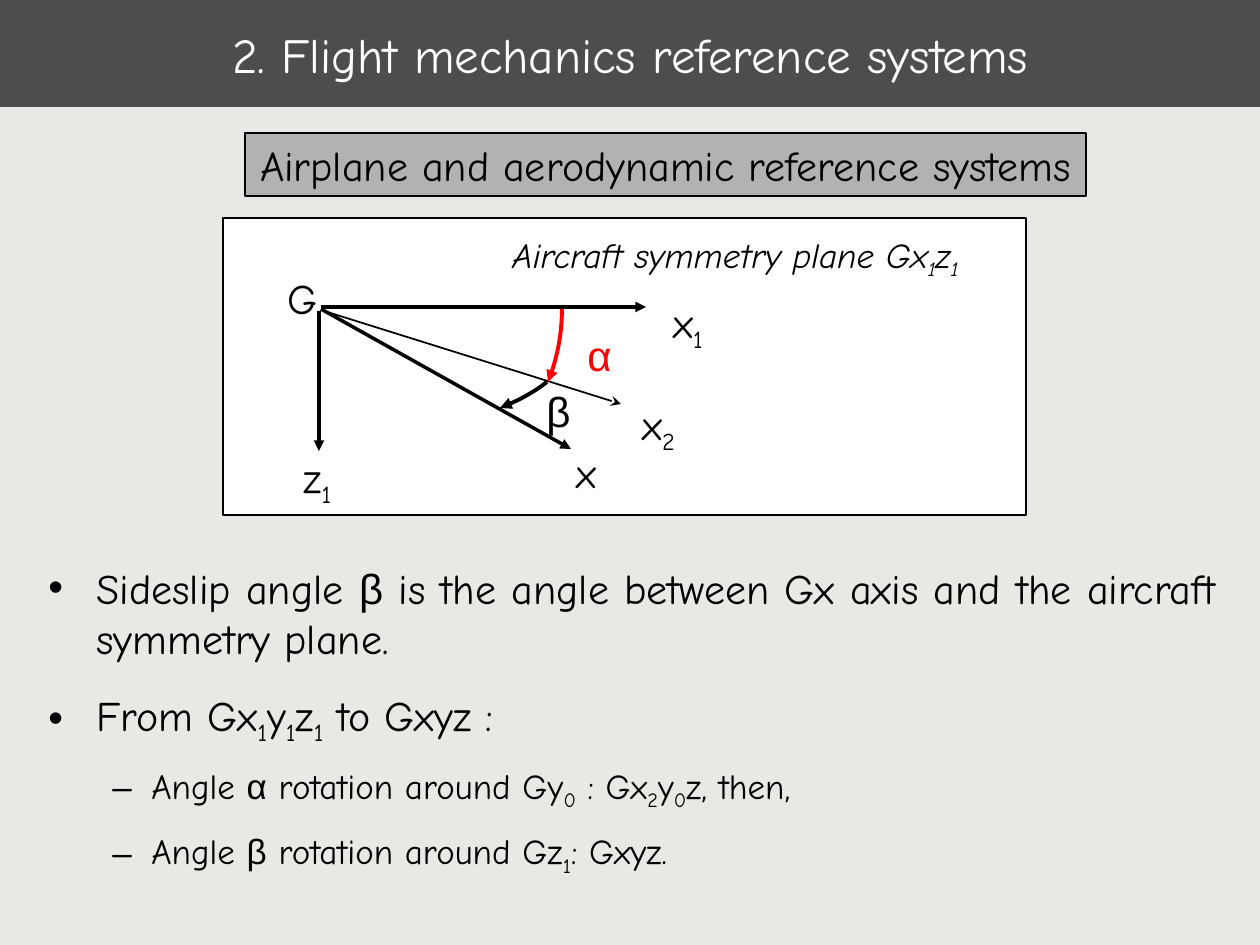
from itertools import groupby

from lxml import etree
from pptx import Presentation
from pptx.dml.color import RGBColor
from pptx.enum.shapes import MSO_CONNECTOR, MSO_SHAPE
from pptx.enum.text import MSO_ANCHOR, MSO_AUTO_SIZE, PP_ALIGN
from pptx.oxml.ns import qn
from pptx.util import Emu, Pt

RECT = MSO_SHAPE.RECTANGLE
LINE = MSO_CONNECTOR.STRAIGHT
MIDDLE = MSO_ANCHOR.MIDDLE
FIT = MSO_AUTO_SIZE.SHAPE_TO_FIT_TEXT
LEFT, CENTER, FULL = PP_ALIGN.LEFT, PP_ALIGN.CENTER, PP_ALIGN.JUSTIFY
SCALE = 914400 / 126
FONT, GREEK = "Comic Neue", "Arial"
BLACK, WHITE, RED = "000000", "FFFFFF", "FF0000"


def px(n):
    """Turn pixels into EMU."""
    return Emu(round(n * SCALE))


def color(code):
    """Turn a hex string into a colour."""
    return RGBColor.from_string(code)


def add_run(par, text, size, ink, slant, sub=False):
    """Add runs, with Greek letters in their own font."""
    for greek, chars in groupby(text, lambda c: c in "αβ"):
        run = par.add_run()
        run.text = "".join(chars)
        font = run.font
        font.name = GREEK if greek else FONT
        font.size = Pt(size)
        font.italic = slant
        font.color.rgb = color(ink)
        if sub:
            font._element.set("baseline", "-25000")


def write(par, text, size=24, ink=BLACK, align=LEFT, slant=False):
    """Write text in which an underscore lowers the next character."""
    par.alignment = align
    first, *rest = text.split("_")
    add_run(par, first, size, ink, slant)
    for part in rest:
        add_run(par, part[0], size, ink, slant, sub=True)
        add_run(par, part[1:], size, ink, slant)


def add_box(slide, x, y, w, h, fill, edge=True):
    """Add a filled rectangle and return its text frame."""
    box = slide.shapes.add_shape(RECT, px(x), px(y), px(w), px(h))
    box.shadow.inherit = False
    box.fill.solid()
    box.fill.fore_color.rgb = color(fill)
    if edge:
        box.line.color.rgb = color(BLACK)
        box.line.width = Pt(1)
    else:
        box.line.fill.background()
    frame = box.text_frame
    frame.vertical_anchor = MIDDLE
    return frame


def add_label(slide, x, y, w, h, text, **style):
    """Add a one-line label."""
    frame = slide.shapes.add_textbox(px(x), px(y), px(w), px(h)).text_frame
    frame.word_wrap = False
    frame.auto_size = FIT
    write(frame.paragraphs[0], text, **style)


def set_tip(shape, width, ink, tip):
    """Style a line and put an arrowhead at its end."""
    shape.line.width = Pt(width)
    shape.line.color.rgb = color(ink)
    etree.SubElement(shape.line._get_or_add_ln(), qn("a:tailEnd"), type=tip)


def add_arrow(slide, start, end, width=2, tip="triangle"):
    """Add a straight axis arrow."""
    ends = [px(n) for n in (*start, *end)]
    arrow = slide.shapes.add_connector(LINE, *ends)
    set_tip(arrow, width, BLACK, tip)
    etree.SubElement(arrow._element.spPr, qn("a:effectLst"))


def add_arc(slide, start, bend, end, ink):
    """Add a curved angle arrow through a quadratic curve."""
    steps = 12
    dots = []
    for i in range(steps + 1):
        t = i / steps
        dots.append([px((1 - t) ** 2 * a + 2 * t * (1 - t) * b + t * t * c)
                     for a, b, c in zip(start, bend, end)])
    path = slide.shapes.build_freeform(*dots[0])
    path.add_line_segments(dots[1:], close=False)
    arc = path.convert_to_shape()
    arc.shadow.inherit = False
    arc.fill.background()
    set_tip(arc, 2.25, ink, "triangle")


def add_point(par, text, mark, left, hang, size, gap):
    """Write a bulleted paragraph."""
    props = par._p.get_or_add_pPr()
    props.set("marL", str(px(left)))
    props.set("indent", str(px(-hang)))
    tint = etree.SubElement(props, qn("a:buClr"))
    etree.SubElement(tint, qn("a:srgbClr"), val=BLACK)
    etree.SubElement(props, qn("a:buFont"), typeface=GREEK)
    etree.SubElement(props, qn("a:buChar"), char=mark)
    par.space_before = Pt(gap)
    write(par, text, size=size, align=FULL)


def add_list(slide):
    """Add the list under the diagram."""
    frame = slide.shapes.add_textbox(px(36), px(556), px(1192), px(364)).text_frame
    frame.word_wrap = True
    main = ("•", 48, 48, 24, 15)
    minor = ("–", 103, 39, 20, 10)
    points = [
        ("Sideslip angle β is the angle between Gx axis and the aircraft "
         "symmetry plane.", main),
        ("From Gx_1y_1z_1 to Gxyz :", main),
        ("Angle α rotation around Gy_0 : Gx_2y_0z, then,", minor),
        ("Angle β rotation around Gz_1: Gxyz.", minor),
    ]
    for i, (text, (mark, left, hang, size, gap)) in enumerate(points):
        par = frame.add_paragraph() if i else frame.paragraphs[0]
        add_point(par, text, mark, left, hang, size, gap if i else 0)


def add_axes(slide):
    """Draw the axes, angles and their labels."""
    add_box(slide, 223, 218, 803, 297, WHITE)
    add_arrow(slide, (319, 311), (319, 451))
    add_arrow(slide, (321, 309), (571, 449))
    add_arrow(slide, (321, 310), (621, 404), width=1, tip="stealth")
    add_arrow(slide, (321, 307), (646, 307))
    add_arc(slide, (562, 309), (562, 347), (548, 382), RED)
    add_arc(slide, (547, 382), (528, 397), (500, 408), BLACK)
    labels = [
        ("G", 275, 266, 55, 63), ("x_1", 661, 290, 62, 69),
        ("x_2", 630, 392, 62, 69), ("x", 564, 440, 48, 63),
        ("z_1", 291, 445, 60, 69), ("β", 534, 379, 48, 63),
    ]
    for text, *place in labels:
        add_label(slide, *place, text)
    add_label(slide, 575, 323, 52, 63, "α", ink=RED)
    add_label(slide, 500, 227, 476, 60, "Aircraft symmetry plane Gx_1z_1",
              size=20, slant=True)


def main():
    """Build the slide and save it."""
    deck = Presentation()
    deck.slide_width, deck.slide_height = px(1260), px(945)
    slide = deck.slides.add_slide(deck.slide_layouts[6])
    slide.background.fill.solid()
    slide.background.fill.fore_color.rgb = color("E8E8E4")
    add_axes(slide)
    title = add_box(slide, 0, 0, 1260, 107, "4D4D4D", edge=False)
    write(title.paragraphs[0], "2. Flight mechanics reference systems",
          size=28, ink=WHITE, align=CENTER)
    add_list(slide)
    head = add_box(slide, 245, 133, 841, 63, "B2B2B2")
    head.word_wrap = False
    head.auto_size = FIT
    write(head.paragraphs[0], "Airplane and aerodynamic reference systems",
          align=CENTER)
    deck.save("out.pptx")


if __name__ == "__main__":
    main()
